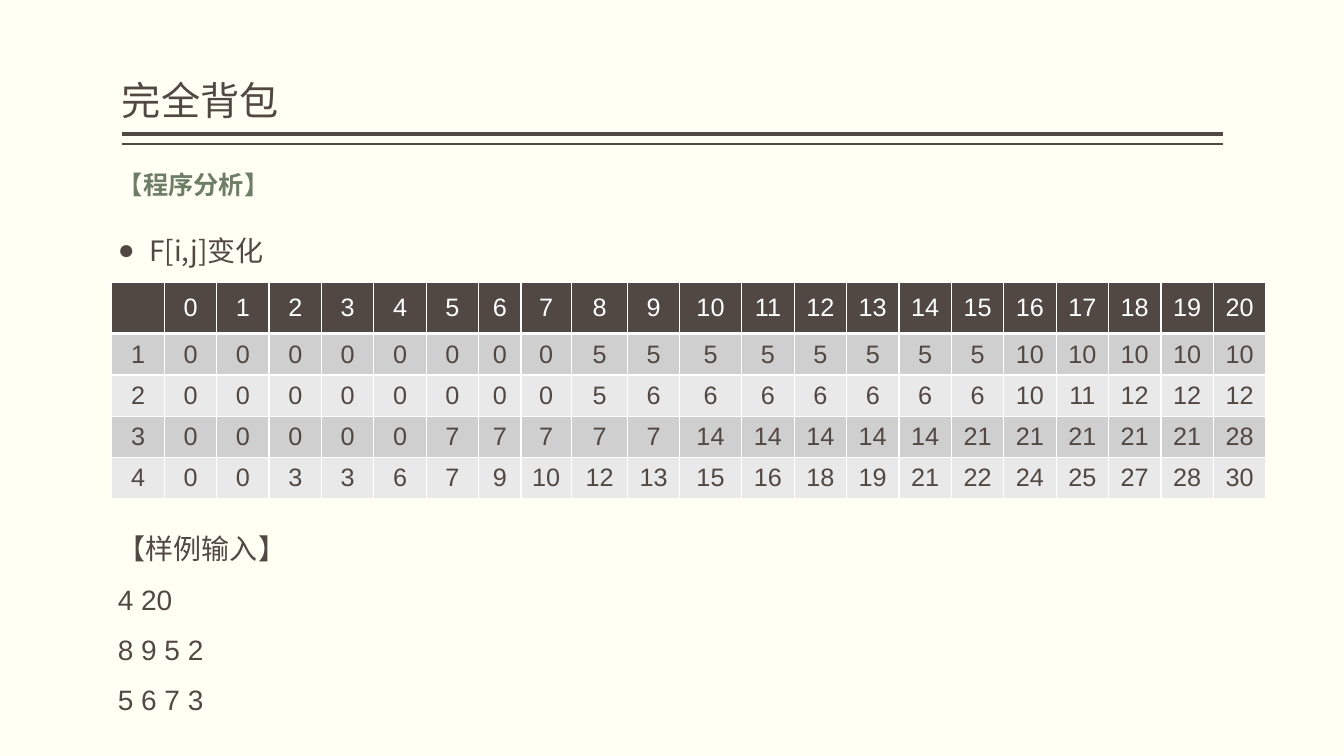
from lxml.etree import SubElement
from pptx import Presentation
from pptx.dml.color import RGBColor
from pptx.enum.shapes import MSO_CONNECTOR
from pptx.enum.text import MSO_ANCHOR, MSO_AUTO_SIZE, PP_ALIGN
from pptx.oxml.ns import qn
from pptx.util import Inches, Pt

BROWN = RGBColor(0x51, 0x48, 0x43)
GREEN = RGBColor(0x6D, 0x7D, 0x66)
CREAM = RGBColor(0xFF, 0xFF, 0xF3)
WHITE = RGBColor(0xFF, 0xFF, 0xFF)
DARK_BAND = RGBColor(0xD0, 0xCF, 0xCF)
LIGHT_BAND = RGBColor(0xE9, 0xE9, 0xE9)
CHINESE = "Noto Sans CJK SC"
LATIN = "Arial"

# Best value F[i,j] for the first i items and capacity j = 0..20
BEST_VALUES = [
    [0] * 8 + [5] * 8 + [10] * 5,
    [0] * 8 + [5] + [6] * 7 + [10, 11, 12, 12, 12],
    [0] * 5 + [7] * 5 + [14] * 5 + [21] * 5 + [28],
    [0, 0, 3, 3, 6, 7, 9, 10, 12, 13, 15, 16, 18, 19, 21, 22, 24, 25, 27, 28, 30],
]
COLUMN_WIDTHS = [0.52] * 7 + [0.42, 0.5, 0.56, 0.51, 0.62] + [0.52] * 10
ROW_HEIGHTS = [0.51] + [0.41] * 4


def write(para, text, *, size=20, color=BROWN, font=CHINESE, bold=False,
          align=PP_ALIGN.LEFT, spacing=1.0, bullet=None):
    """Put one formatted run into a paragraph."""
    props = para._p.get_or_add_pPr()
    indent = Inches(0.31) if bullet else 0
    props.set("marL", str(indent))
    props.set("indent", str(-indent))
    if bullet:
        SubElement(props, qn("a:buChar"), char=bullet)
    else:
        SubElement(props, qn("a:buNone"))
    para.alignment = align
    para.line_spacing = spacing
    para.space_before = Pt(0)
    span = para.add_run()
    span.text = text
    span.font.size = Pt(size)
    span.font.bold = bold
    span.font.color.rgb = color
    span.font.name = font
    SubElement(span._r.get_or_add_rPr(), qn("a:ea"), typeface=CHINESE)


class KnapsackSlide:
    def __init__(self, deck):
        self.page = deck.slides.add_slide(deck.slide_layouts[1])
        self.page.background.fill.solid()
        self.page.background.fill.fore_color.rgb = CREAM

    def place(self, box, left, top, width, height):
        box.left, box.top = Inches(left), Inches(top)
        box.width, box.height = Inches(width), Inches(height)
        frame = box.text_frame
        frame.word_wrap = True
        frame.auto_size = MSO_AUTO_SIZE.NONE
        frame.vertical_anchor = MSO_ANCHOR.TOP
        return frame

    def title(self, text, *bounds):
        frame = self.place(self.page.shapes.title, *bounds)
        frame.vertical_anchor = MSO_ANCHOR.BOTTOM
        frame.margin_left = frame.margin_right = 0
        write(frame.paragraphs[0], text, size=28, spacing=0.9)

    def rule(self, top, weight):
        line = self.page.shapes.add_connector(
            MSO_CONNECTOR.STRAIGHT, Inches(1.21), Inches(top), Inches(12.13), Inches(top))
        line.line.color.rgb = BROWN
        line.line.width = Pt(weight)
        SubElement(line._element.spPr, qn("a:effectLst"))

    def body(self, heading, item, *bounds):
        frame = self.place(self.page.placeholders[1], *bounds)
        write(frame.paragraphs[0], heading, size=18, color=GREEN, bold=True)
        write(frame.add_paragraph(), item, spacing=2.0, bullet="●")

    def text_box(self, lines, *bounds):
        box = self.page.shapes.add_textbox(0, 0, 0, 0)
        frame = self.place(box, *bounds)
        for index, line in enumerate(lines):
            para = frame.add_paragraph() if index else frame.paragraphs[0]
            write(para, line, font=LATIN, spacing=1.5)

    def cell(self, cell, text, fill, color, bottom_weight):
        props = cell._tc.get_or_add_tcPr()
        for side, weight in (("L", 1), ("R", 1), ("T", 1), ("B", bottom_weight)):
            border = SubElement(props, qn(f"a:ln{side}"), w=str(Pt(weight)))
            paint = SubElement(border, qn("a:solidFill"))
            SubElement(paint, qn("a:srgbClr"), val=str(WHITE))
        cell.fill.solid()
        cell.fill.fore_color.rgb = fill
        cell.vertical_anchor = MSO_ANCHOR.MIDDLE
        para = cell.text_frame.paragraphs[0]
        if text:
            write(para, text, size=18, color=color, font=LATIN, align=PP_ALIGN.CENTER)
        else:
            para.font.size = Pt(18)

    def table(self, rows, left, top):
        table = self.page.shapes.add_table(
            len(rows), len(rows[0]), Inches(left), Inches(top),
            Inches(sum(COLUMN_WIDTHS)), Inches(sum(ROW_HEIGHTS))).table
        table.horz_banding = False
        for column, width in zip(table.columns, COLUMN_WIDTHS):
            column.width = Inches(width)
        for index, (row, height) in enumerate(zip(table.rows, ROW_HEIGHTS)):
            row.height = Inches(height)
            if index == 0:
                style = BROWN, WHITE, 3
            else:
                style = DARK_BAND if index % 2 else LIGHT_BAND, BROWN, 1
            for cell, value in zip(row.cells, rows[index]):
                self.cell(cell, str(value), *style)


def main():
    deck = Presentation()
    deck.slide_width, deck.slide_height = Inches(13.33), Inches(7.5)
    slide = KnapsackSlide(deck)

    # Title with its double rule
    slide.rule(1.33, 3)
    slide.rule(1.43, 1)
    slide.title("完全背包", 1.21, 0.08, 10.92, 1.2)

    # Analysis and table of F[i,j]
    slide.body("【程序分析】", "F[i,j]变化", 1.07, 1.63, 11.2, 1.59)
    header = ["", *range(21)]
    slide.table([header] + [[item, *values] for item, values in enumerate(BEST_VALUES, 1)],
                1.11, 2.8)

    # Sample input
    slide.text_box(["【样例输入】", "4 20", "8 9 5 2", "5 6 7 3"], 1.07, 5.06, 2.14, 2.05)

    deck.save("out.pptx")


if __name__ == "__main__":
    main()
